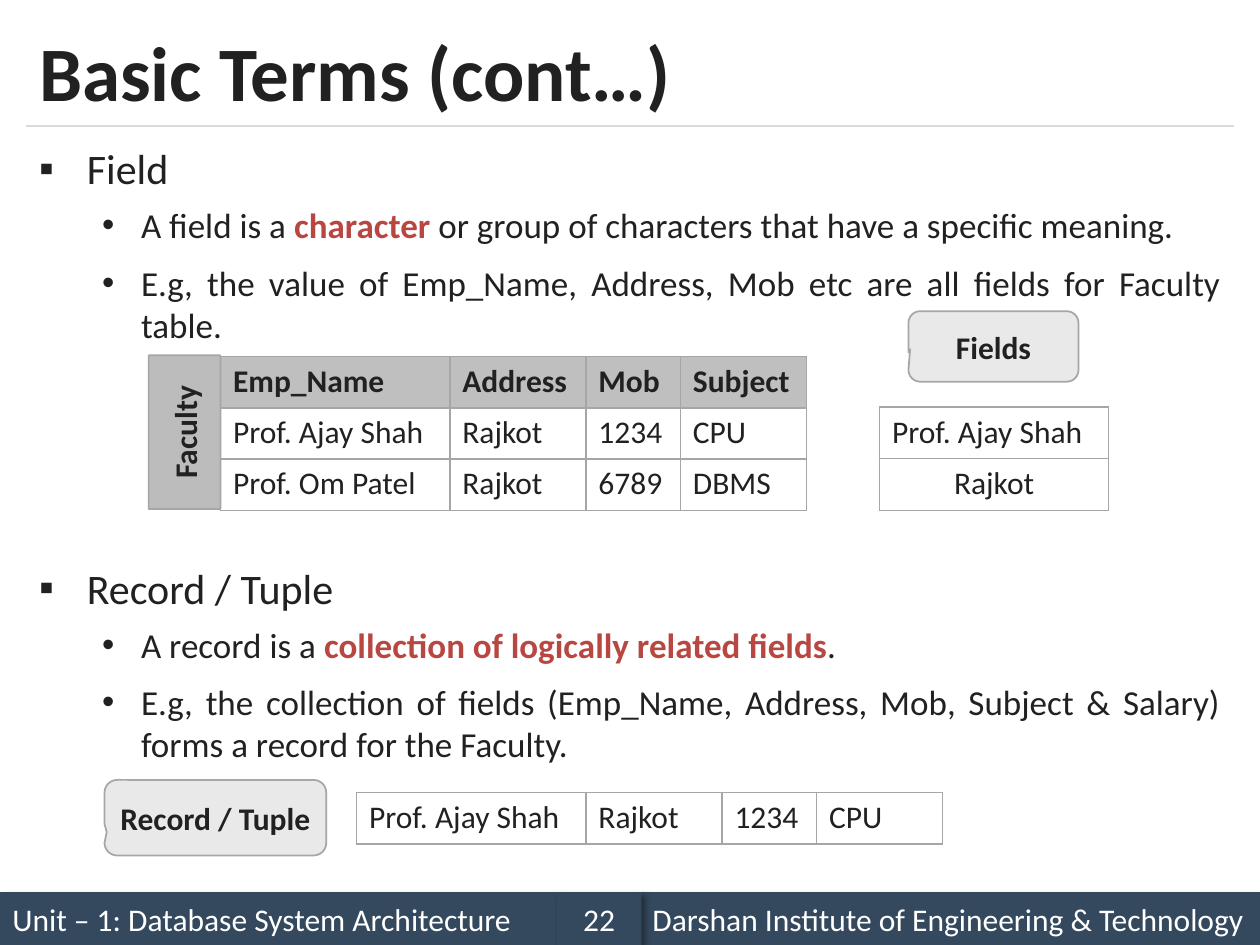
import pptx
import pptx.util
import pptx.dml.color
import pptx.enum.shapes
import pptx.enum.text
import pptx.oxml
import pptx.oxml.ns
from lxml import etree

Inches = pptx.util.Inches
Pt = pptx.util.Pt
SHAPE = pptx.enum.shapes.MSO_SHAPE
ALIGN = pptx.enum.text.PP_ALIGN
ANCHOR = pptx.enum.text.MSO_ANCHOR
qn = pptx.oxml.ns.qn

COLORS = {
    "ink": "212121", "accent": "B84742", "white": "FFFFFF", "footer": "34495E",
    "rule": "D9D9D9", "border": "A6A6A6", "header": "BFBFBF", "label": "BCBCBC",
    "callout": "E9E9E9",
}
COLUMNS = [1.82, 1.08, 0.75, 1]
ROW_HEIGHT = 0.41
FACULTY_ROWS = [
    ["Emp_Name", "Address", "Mob", "Subject"],
    ["Prof. Ajay Shah", "Rajkot", "1234", "CPU"],
    ["Prof. Om Patel", "Rajkot", "6789", "DBMS"],
]
# Level, space before in points, then text parts; every second part is accented.
TERMS = [
    (0, 0, ["Field"]),
    (1, 6, ["A field is a ", "character",
            " or group of characters that have a specific meaning."]),
    (1, 9, ["E.g, the value of Emp_Name, Address, Mob etc are all fields "
            "for Faculty table."]),
    (0, 124, ["Record / Tuple"]),
    (1, 6, ["A record is a ", "collection of logically related fields", "."]),
    (1, 9, ["E.g, the collection of fields (Emp_Name, Address, Mob, Subject & "
            "Salary) forms a record for the Faculty."]),
]
LEVELS = [("▪", 24, 0.38, 0.38), ("•", 20, 0.81, 0.31)]


def rgb(name):
    return pptx.dml.color.RGBColor.from_string(COLORS[name])


def write(paragraph, text, size=18, color="ink", bold=False, align=ALIGN.LEFT):
    paragraph.alignment = align
    run = paragraph.add_run()
    run.text = text
    run.font.name = "Calibri"
    run.font.size = Pt(size)
    run.font.bold = bold
    run.font.color.rgb = rgb(color)


def place(shape, left, top, width, height):
    shape.left, shape.top = Inches(left), Inches(top)
    shape.width, shape.height = Inches(width), Inches(height)


def add_box(slide, kind, bounds, fill, text, border=None, adjustments=(),
            inset=0.1, **text_format):
    box = slide.shapes.add_shape(kind, *map(Inches, bounds))
    box.shadow.inherit = False
    for index, value in enumerate(adjustments):
        box.adjustments[index] = value
    box.fill.solid()
    box.fill.fore_color.rgb = rgb(fill)
    if border:
        box.line.color.rgb = rgb(border)
        box.line.width = Pt(1)
    else:
        box.line.fill.background()
    frame = box.text_frame
    frame.word_wrap = True
    frame.vertical_anchor = ANCHOR.MIDDLE
    frame.margin_left = frame.margin_right = Inches(inset)
    write(frame.paragraphs[0], text, **text_format)
    return box


def add_footer_part(slide, bounds, text, align=ALIGN.LEFT):
    part = add_box(slide, SHAPE.RECTANGLE, bounds, "footer", text,
                   color="white", align=align)
    effects = part._element.spPr.find(qn("a:effectLst"))
    shadow = etree.SubElement(effects, qn("a:outerShdw"), blurRad=str(Pt(4)),
                              dist=str(Pt(3)), dir="2700000", algn="tl",
                              rotWithShape="0")
    shade = etree.SubElement(shadow, qn("a:srgbClr"), val="000000")
    etree.SubElement(shade, qn("a:alpha"), val="40000")


def add_callout(slide, bounds, text, tip):
    add_box(slide, SHAPE.ROUNDED_RECTANGULAR_CALLOUT, bounds, "callout", text,
            border="border", adjustments=(*tip, 0.167), inset=0.05,
            bold=True, align=ALIGN.CENTER)


def add_title_rule(slide):
    rule = slide.shapes.add_connector(
        pptx.enum.shapes.MSO_CONNECTOR.STRAIGHT,
        Inches(0.21), Inches(1), Inches(9.79), Inches(1))
    rule.line.color.rgb = rgb("rule")
    rule.line.width = Pt(0.75)
    etree.SubElement(rule._element.spPr, qn("a:effectLst"))


def add_cell_borders(cell):
    properties = cell._tc.get_or_add_tcPr()
    for side in ("a:lnL", "a:lnR", "a:lnT", "a:lnB"):
        line = etree.SubElement(properties, qn(side), w=str(Pt(1)))
        fill = etree.SubElement(line, qn("a:solidFill"))
        etree.SubElement(fill, qn("a:srgbClr"), val=COLORS["border"])


def add_record(slide, left, top, values, header=False, align=ALIGN.LEFT):
    """Add a one-row table, so that each record stands alone."""
    widths = COLUMNS[:len(values)]
    table = slide.shapes.add_table(
        1, len(values), Inches(left), Inches(top),
        Inches(sum(widths)), Inches(ROW_HEIGHT)).table
    table.first_row = table.horz_banding = False
    for column, width, value in zip(table.columns, widths, values):
        column.width = Inches(width)
    for cell, value in zip(table.rows[0].cells, values):
        add_cell_borders(cell)
        if header:
            cell.fill.solid()
            cell.fill.fore_color.rgb = rgb("header")
        else:
            cell.fill.background()
        write(cell.text_frame.paragraphs[0], value, bold=header, align=align)


def set_bullet(paragraph, bullet, margin, hanging):
    properties = paragraph._p.get_or_add_pPr()
    properties.set("marL", str(Inches(margin)))
    properties.set("indent", str(-Inches(hanging)))
    etree.SubElement(properties, qn("a:buFont"), typeface="Arial")
    etree.SubElement(properties, qn("a:buChar"), char=bullet)


def fill_title(title):
    place(title, 0.21, 0.12, 9.58, 0.88)
    frame = title.text_frame
    frame.auto_size = pptx.enum.text.MSO_AUTO_SIZE.NONE
    frame.vertical_anchor = ANCHOR.MIDDLE
    write(frame.paragraphs[0], "Basic Terms (cont…)", size=44, bold=True)


def fill_terms(body):
    place(body, 0.21, 1.08, 9.58, 5.83)
    frame = body.text_frame
    frame.auto_size = pptx.enum.text.MSO_AUTO_SIZE.NONE
    for index, (level, space, parts) in enumerate(TERMS):
        paragraph = frame.add_paragraph() if index else frame.paragraphs[0]
        bullet, size, margin, hanging = LEVELS[level]
        paragraph.level = level
        set_bullet(paragraph, bullet, margin, hanging)
        paragraph.space_before = Pt(space)
        for number, part in enumerate(parts):
            accented = number % 2 == 1
            write(paragraph, part, size=size, bold=accented,
                  color="accent" if accented else "ink", align=ALIGN.JUSTIFY)


def main():
    deck = pptx.Presentation()
    deck.slide_width, deck.slide_height = Inches(10), Inches(7.5)
    slide = deck.slides.add_slide(deck.slide_layouts[1])

    add_footer_part(slide, (0, 7.08, 4.42, 0.42),
                    "Unit – 1: Database System Architecture")
    add_footer_part(slide, (5.08, 7.08, 4.92, 0.42),
                    "Darshan Institute of Engineering & Technology")
    add_footer_part(slide, (4.42, 7.08, 0.67, 0.42), "22", ALIGN.CENTER)
    add_title_rule(slide)
    fill_title(slide.shapes.title)
    fill_terms(slide.placeholders[1])

    for index, values in enumerate(FACULTY_ROWS):
        add_record(slide, 1.75, 2.83 + index * 0.405, values, header=index == 0)
    faculty = add_box(slide, SHAPE.ROUNDED_RECTANGLE, (1.18, 2.82, 0.57, 1.22),
                      "label", "Faculty", border="border", adjustments=(0.01,),
                      bold=True, align=ALIGN.CENTER)
    faculty.text_frame._txBody.bodyPr.set("vert", "vert270")

    name, address = FACULTY_ROWS[1][:2]
    add_record(slide, 2.83, 6.29, FACULTY_ROWS[1])
    add_record(slide, 6.98, 3.23, [name])
    add_record(slide, 6.98, 3.64, [address], align=ALIGN.CENTER)
    add_callout(slide, (7.21, 2.47, 1.35, 0.56), "Fields", (-0.49, 0.04))
    add_callout(slide, (0.83, 6.19, 1.76, 0.6), "Record / Tuple", (-0.49, 0.19))

    deck.save("out.pptx")


if __name__ == "__main__":
    main()
